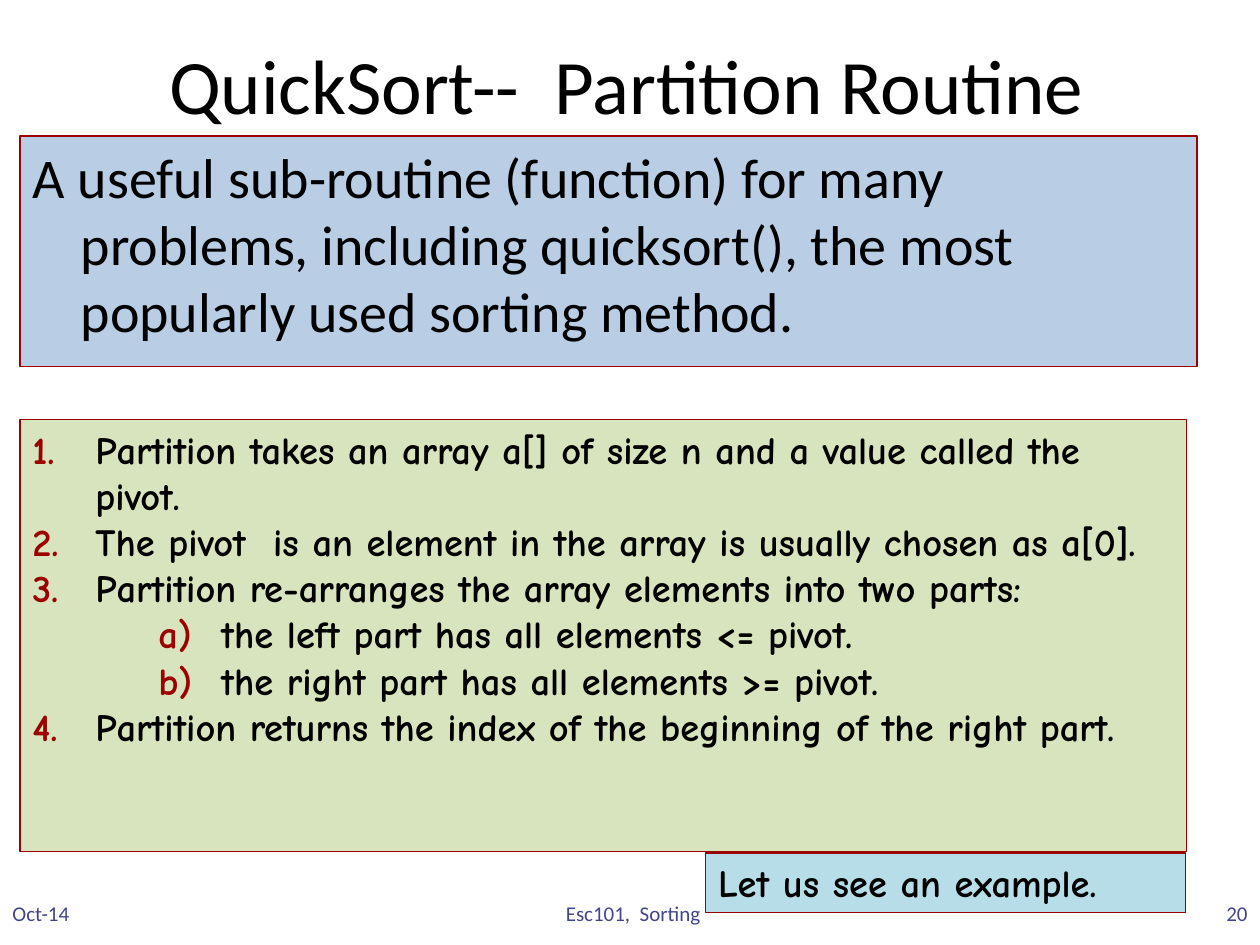
from lxml.etree import SubElement
from pptx import Presentation
from pptx.dml.color import RGBColor
from pptx.enum.shapes import MSO_SHAPE
from pptx.enum.text import MSO_ANCHOR, MSO_AUTO_SIZE, PP_ALIGN
from pptx.oxml.ns import qn
from pptx.util import Inches, Pt

COLORS = {
    "text": "000000",
    "edge": "9D0000",
    "intro": "B9CDE5",
    "steps": "D7E4BD",
    "next": "B7DEE8",
    "foot": "40458C",
}


def color(name):
    return RGBColor.from_string(COLORS[name])


def write(para, text, size, font, tint="text", bold=False):
    """Add one formatted run to a paragraph."""
    run = para.add_run()
    run.text = text
    run.font.size = Pt(size)
    run.font.name = font
    run.font.bold = bold
    run.font.color.rgb = color(tint)


deck = Presentation()
deck.slide_width = Inches(10)
deck.slide_height = Inches(7.5)
slide = deck.slides.add_slide(deck.slide_layouts[1])
shapes = slide.shapes

# Title and introduction
title, intro = slide.placeholders
title.left, title.top = Inches(0.19), Inches(0.25)
title.width, title.height = Inches(9.57), Inches(0.83)
title.text_frame.vertical_anchor = MSO_ANCHOR.MIDDLE
para = title.text_frame.paragraphs[0]
para.alignment = PP_ALIGN.CENTER
write(para, "QuickSort--  Partition Routine", 44, "Calibri")

intro.left, intro.top = Inches(0.16), Inches(1.08)
intro.width, intro.height = Inches(9.34), Inches(1.83)
para = intro.text_frame.paragraphs[0]
props = para._p.get_or_add_pPr()
props.set("marL", str(Inches(0.38)))
props.set("indent", str(Inches(-0.38)))
SubElement(props, qn("a:buNone"))
para.space_before = Pt(0)
write(para, "A useful sub-routine (function) for many problems, including "
      "quicksort(), the most popularly used sorting method.", 32, "Calibri")

# Partition steps and lead-in to the example
steps = shapes.add_shape(MSO_SHAPE.RECTANGLE, Inches(0.16), Inches(3.33),
                         Inches(9.26), Inches(3.43))
follow = shapes.add_shape(MSO_SHAPE.RECTANGLE, Inches(5.6), Inches(6.77),
                          Inches(3.81), Inches(0.47))

for box, fill in ((intro, "intro"), (steps, "steps"), (follow, "next")):
    box.fill.solid()
    box.fill.fore_color.rgb = color(fill)
    box.line.color.rgb = color("edge")
    box.line.width = Pt(0.75)
    frame = box.text_frame
    frame.word_wrap = box is not follow
    frame.auto_size = MSO_AUTO_SIZE.NONE
    frame.vertical_anchor = MSO_ANCHOR.TOP
for box in (steps, follow):
    box.shadow.inherit = False

items = [
    (0, "Partition takes an array a[] of size n and a value called the pivot."),
    (0, "The pivot  is an element in the array is usually chosen as a[0]."),
    (0, "Partition re-arranges the array elements into two parts:"),
    (2, "the left part has all elements <= pivot."),
    (2, "the right part has all elements >= pivot."),
    (0, "Partition returns the index of the beginning of the right part."),
]
frame = steps.text_frame
for num, (level, text) in enumerate(items):
    para = frame.add_paragraph() if num else frame.paragraphs[0]
    para.level = level
    para.alignment = PP_ALIGN.LEFT
    props = para._p.get_or_add_pPr()
    props.set("marL", str(Inches(0.5 + level / 2)))
    props.set("indent", str(Inches(-0.5)))
    tint = SubElement(props, qn("a:buClr"))
    SubElement(tint, qn("a:srgbClr"), val=COLORS["edge"])
    SubElement(props, qn("a:buFont"), typeface="+mj-lt")
    style = "alphaLcParenR" if level else "arabicPeriod"
    SubElement(props, qn("a:buAutoNum"), type=style)
    write(para, text, 22, "Comic Neue", bold=True)

para = follow.text_frame.paragraphs[0]
para.alignment = PP_ALIGN.LEFT
write(para, "Let us see an example.", 22, "Comic Neue", bold=True)

# Footer
for left, width, align, text in (
    (0, 2.08, PP_ALIGN.LEFT, "Oct-14"),
    (3.22, 3.61, PP_ALIGN.CENTER, "Esc101,  Sorting"),
    (7.92, 2.08, PP_ALIGN.RIGHT, "20"),
):
    foot = shapes.add_textbox(Inches(left), Inches(7), Inches(width), Inches(0.5))
    foot.text_frame.word_wrap = True
    foot.text_frame.vertical_anchor = MSO_ANCHOR.MIDDLE
    para = foot.text_frame.paragraphs[0]
    para.alignment = align
    write(para, text, 12, "Calibri", "foot")

deck.save("out.pptx")
